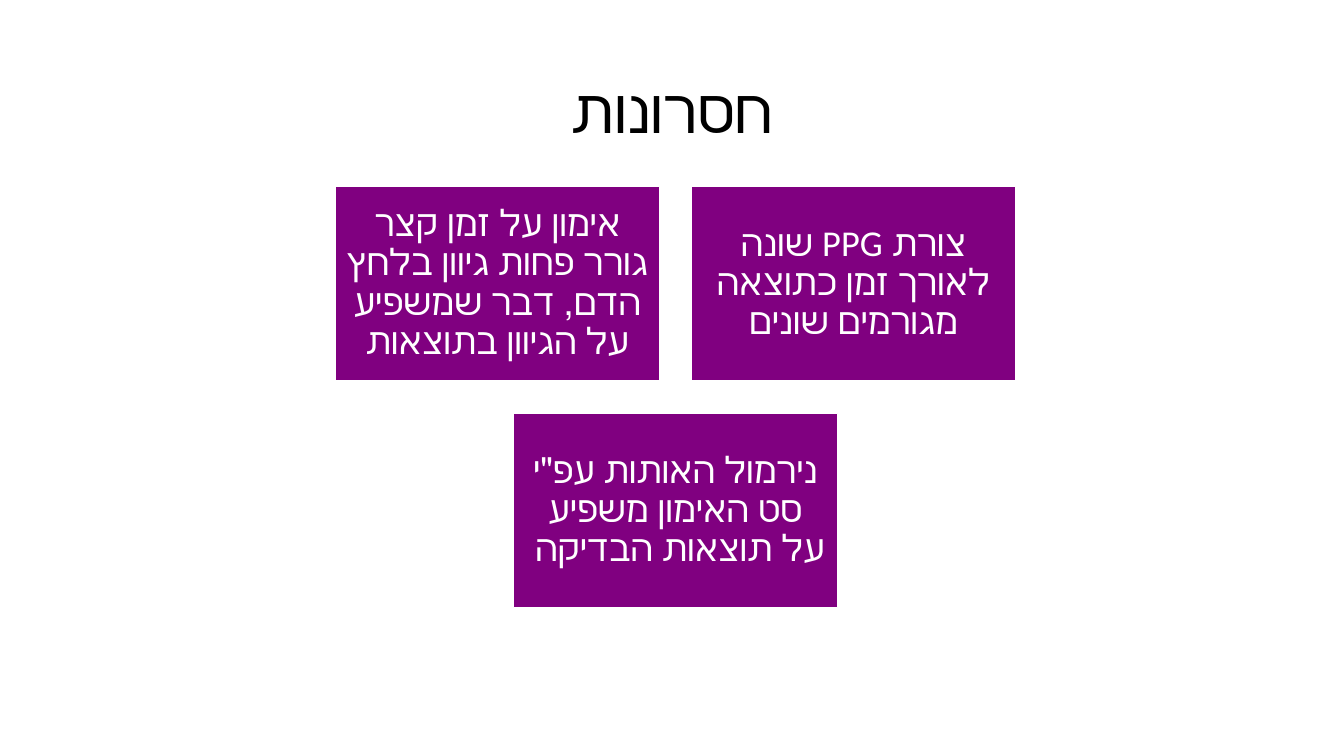
from pptx import Presentation
from pptx.dml.color import RGBColor
from pptx.enum.lang import MSO_LANGUAGE_ID as Language
from pptx.enum.shapes import MSO_SHAPE as Shape
from pptx.enum.text import MSO_ANCHOR as Anchor, PP_ALIGN as Align
from pptx.util import Inches, Pt

# Content: rows of cards, each row listed from left to right
TITLE = "חסרונות"
CARD_ROWS = [
    [
        "אימון על זמן קצר גורר פחות גיוון בלחץ הדם, דבר שמשפיע על הגיוון בתוצאות",
        "צורת PPG שונה לאורך זמן כתוצאה מגורמים שונים",
    ],
    ['נירמול האותות עפ"י סט האימון משפיע על תוצאות הבדיקה '],
]

# Layout in inches
SLIDE_WIDTH, SLIDE_HEIGHT = 13.33, 7.5
TITLE_BOX = (0.92, 0.4, 11.5, 1.45)
CARD_WIDTH, CARD_HEIGHT, GAP = 3.21, 1.93, 0.32
CARDS_CENTER, CARDS_TOP = 6.7, 1.85
INSET = 0.1

FONT = "Calibri"
PURPLE, WHITE, BLACK = "800080", "FFFFFF", "000000"


def color(value):
    return RGBColor.from_string(value)


def write(frame, text, size, ink):
    """Fill a frame with one centred right-to-left paragraph."""
    frame.word_wrap = True
    frame.vertical_anchor = Anchor.MIDDLE
    para = frame.paragraphs[0]
    para.alignment = Align.CENTER
    para.line_spacing = 0.9
    para._p.get_or_add_pPr().set("rtl", "1")
    span = para.add_run()
    span.text = text
    span.font.size = Pt(size)
    span.font.name = FONT
    span.font.color.rgb = color(ink)
    span.font.language_id = Language.HEBREW


def add_card(page, left, top, text):
    box = page.shapes.add_shape(
        Shape.RECTANGLE, *map(Inches, (left, top, CARD_WIDTH, CARD_HEIGHT)))
    box.shadow.inherit = False
    box.fill.solid()
    box.fill.fore_color.rgb = color(PURPLE)
    box.line.color.rgb = color(WHITE)
    box.line.width = Pt(1)
    frame = box.text_frame
    frame.margin_left = frame.margin_right = Inches(INSET)
    frame.margin_top = frame.margin_bottom = Inches(INSET)
    write(frame, text, size=26, ink=WHITE)


def main():
    deck = Presentation()
    deck.slide_width, deck.slide_height = Inches(SLIDE_WIDTH), Inches(SLIDE_HEIGHT)
    page = deck.slides.add_slide(deck.slide_layouts.get_by_name("Title Only"))

    # Title
    title = page.shapes.title
    title.left, title.top, title.width, title.height = map(Inches, TITLE_BOX)
    write(title.text_frame, TITLE, size=44, ink=BLACK)

    # Cards, each row centred on the same axis
    for row, texts in enumerate(CARD_ROWS):
        row_width = len(texts) * (CARD_WIDTH + GAP) - GAP
        top = CARDS_TOP + row * (CARD_HEIGHT + GAP)
        for column, text in enumerate(texts):
            left = CARDS_CENTER - row_width / 2 + column * (CARD_WIDTH + GAP)
            add_card(page, left, top, text)

    deck.save("out.pptx")


if __name__ == "__main__":
    main()
